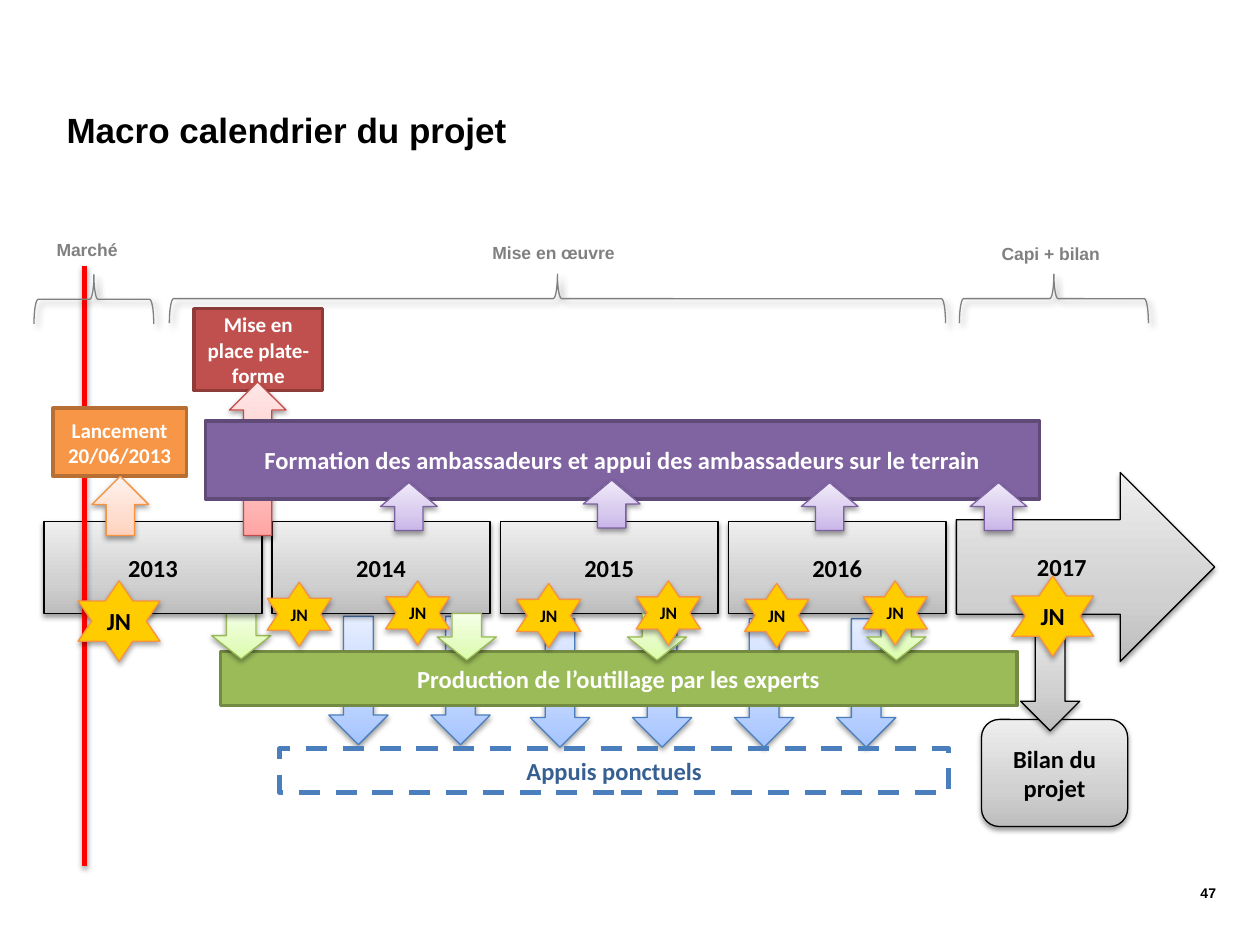
from copy import deepcopy

from lxml.etree import SubElement
from pptx import Presentation
from pptx.dml.color import RGBColor
from pptx.enum.dml import MSO_LINE
from pptx.enum.shapes import MSO_CONNECTOR, MSO_SHAPE as SHAPE
from pptx.enum.text import MSO_ANCHOR, MSO_AUTO_SIZE, PP_ALIGN as ALIGN
from pptx.oxml.ns import qn
from pptx.util import Inches, Pt

COLORS = {
    "black": "000000", "white": "FFFFFF", "gray": "808080", "marker": "FF0000",
    "green": "9BBB59", "green_edge": "738A42",
    "red": "C0504D", "red_edge": "8E3B39",
    "orange": "F79646", "orange_edge": "B76F34",
    "purple": "8064A2", "purple_edge": "5F4A78",
    "blue_edge": "4B7EBC", "blue_text": "376092",
    "star": "FFCC00", "star_edge": "F69240",
}
# Gradient colours from bottom to top, then the outline
GRADIENTS = {
    "gray": ("BDBDBD", "D1D1D1", "EEEEEE", "000000"),
    "blue": ("A4C4FF", "BFD4FF", "E6EEFF", "4B7EBC"),
    "green": ("DAFDA7", "E4FCC2", "F5FFE7", "98B955"),
    "red": ("FFA6A5", "FFC0BF", "FFE7E7", "BF4C48"),
    "orange": ("FFD2BD", "FFDED0", "FFF2ED", "F69240"),
    "purple": ("C9B5E8", "D8CBEE", "F0EAF9", "7D60A0"),
}
STOPS = (0, 0.35, 1)
# Opacity %, blur pt, distance pt, direction in degrees
SOFT, DEEP, BRACE = (38, 3.1, 1.6, 90), (35, 3.1, 1.8, 90), (40, 4, 3, 45)


def rgb(name):
    return RGBColor.from_string(COLORS.get(name, name))


def add_shadow(effects, opacity, blur, dist, angle):
    shadow = SubElement(effects, qn("a:outerShdw"), blurRad=str(Pt(blur)),
                        dist=str(Pt(dist)), dir=str(angle * 60000),
                        algn="ctr", rotWithShape="0")
    color = SubElement(shadow, qn("a:srgbClr"), val=COLORS["black"])
    SubElement(color, qn("a:alpha"), val=str(opacity * 1000))


class Timeline:
    def __init__(self, slide):
        self.slide = slide

    def put_text(self, sp, text, size, color, font="Calibri",
                 align=ALIGN.CENTER):
        tf = sp.text_frame
        tf.text = text
        tf.word_wrap = True
        tf.vertical_anchor = MSO_ANCHOR.MIDDLE
        for p in tf.paragraphs:
            p.alignment = align
            for r in p.runs:
                r.font.name, r.font.size, r.font.bold = font, Pt(size), True
                r.font.color.rgb = rgb(color)
        return tf

    def shape(self, kind, box, edge, width=0.75, fill=None, shadow=None):
        sp = self.slide.shapes.add_shape(kind, *map(Inches, box))
        if fill:
            sp.fill.solid()
            sp.fill.fore_color.rgb = rgb(fill)
        else:
            sp.fill.background()
        sp.line.color.rgb = rgb(edge)
        sp.line.width = Pt(width)
        sp.shadow.inherit = False
        if shadow:
            add_shadow(sp._element.spPr.find(qn("a:effectLst")), *shadow)
        return sp

    def block(self, kind, box, theme, text=None):
        """Shaded shape with a vertical three-stop gradient."""
        *tones, edge = GRADIENTS[theme]
        sp = self.shape(kind, box, edge, shadow=SOFT)
        sp.fill.gradient()
        sp.fill.gradient_angle = 90
        first = sp._element.spPr.find(".//" + qn("a:gs"))
        first.addnext(deepcopy(first))
        for stop, position, tone in zip(sp.fill.gradient_stops, STOPS, tones):
            stop.position = position
            stop.color.rgb = rgb(tone)
        if text:
            self.put_text(sp, text, 14, "black")

    def bar(self, box, theme, text, size=14):
        sp = self.shape(SHAPE.RECTANGLE, box, theme + "_edge", 2, theme)
        self.put_text(sp, text, size, "white")

    def dashed_bar(self, box, text):
        sp = self.shape(SHAPE.RECTANGLE, box, "blue_edge", 3)
        sp.line.dash_style = MSO_LINE.DASH
        self.put_text(sp, text, 14, "blue_text")

    def star(self, x, y, w, h, size):
        sp = self.shape(SHAPE.STAR_6_POINT, (x, y, w, h), "star_edge",
                        fill="star", shadow=DEEP)
        tf = self.put_text(sp, "JN", size, "black")
        tf.word_wrap = False
        tf.margin_left = tf.margin_right = tf.margin_top = tf.margin_bottom = 0

    def brace(self, x, y, w, h):
        """Upward brace; the box is the one before the quarter turn."""
        sp = self.shape(SHAPE.LEFT_BRACE, (x, y, w, h), "gray", shadow=BRACE)
        sp.rotation = 90
        sp._element.spPr.find(qn("a:xfrm")).set("flipV", "1")

    def label(self, box, text, size, color, align=ALIGN.LEFT):
        sp = self.slide.shapes.add_textbox(*map(Inches, box))
        return self.put_text(sp, text, size, color, "Arial", align)

    def phase(self, box, text):
        tf = self.label(box, text, 10, "gray")
        tf.word_wrap = False
        tf.auto_size = MSO_AUTO_SIZE.SHAPE_TO_FIT_TEXT
        tf.vertical_anchor = MSO_ANCHOR.TOP

    def marker(self, x, top, bottom):
        line = self.slide.shapes.add_connector(
            MSO_CONNECTOR.STRAIGHT, *map(Inches, (x, top, x, bottom)))
        line.line.color.rgb = rgb("marker")
        line.line.width = Pt(3)
        add_shadow(SubElement(line._element.spPr, qn("a:effectLst")), *DEEP)


def main():
    prs = Presentation()
    prs.slide_width, prs.slide_height = Inches(10), Inches(7.5)
    t = Timeline(prs.slides.add_slide(prs.slide_layouts[6]))

    # Expert output, behind the years
    for x, y in ((2.61, 4.89), (3.42, 4.89), (4.21, 4.91),
                 (5.02, 4.91), (5.83, 4.91), (6.64, 4.91)):
        t.block(SHAPE.DOWN_ARROW, (x, y, 0.47, 1.02), "blue")
    t.bar((1.75, 5.17, 6.32, 0.43), "green",
          "Production de l’outillage par les experts")
    t.block(SHAPE.DOWN_ARROW, (1.68, 4.86, 0.47, 0.37), "green")

    # Years
    t.block(SHAPE.RIGHT_ARROW, (7.59, 3.75, 2.05, 1.5), "gray", "2017")
    for i in range(4):
        t.block(SHAPE.RECTANGLE, (0.35 + 1.81 * i, 4.14, 1.73, 0.73), "gray",
                str(2013 + i))

    t.label((8.58, 6.89, 1.17, 0.4), "47", 8, "black", ALIGN.RIGHT)
    t.marker(0.67, 2.11, 6.87)
    t.bar((1.54, 2.45, 1.02, 0.65), "red", "Mise en place plate-forme", 12)
    for x in (3.47, 4.98, 6.88):
        t.block(SHAPE.DOWN_ARROW, (x, 4.87, 0.47, 0.37), "green")
    t.block(SHAPE.ROUNDED_RECTANGLE, (7.79, 5.71, 1.16, 0.85), "gray",
            "Bilan du projet")
    t.block(SHAPE.DOWN_ARROW, (8.1, 4.88, 0.47, 0.92), "gray")

    # Phases
    for x, y, h in ((0.55, 1.9, 0.95), (4.23, -0.71, 6.16), (8.17, 1.62, 1.5)):
        t.brace(x, y, 0.39, h)
    t.phase((0.35, 1.85, 0.69, 0.27), "Marché")
    t.phase((3.81, 1.87, 1.18, 0.27), "Mise en œuvre")
    t.phase((7.85, 1.88, 0.99, 0.27), "Capi + bilan")
    title = t.label((0.43, 0.78, 9.43, 0.49), "Macro calendrier du projet",
                    20, "black")
    title.word_wrap = False

    # JN milestones
    t.star(0.62, 4.61, 0.65, 0.64, 14)
    for x, y in ((2.12, 4.62), (3.06, 4.61), (4.1, 4.63),
                 (5.05, 4.61), (5.91, 4.63), (6.85, 4.61)):
        t.star(x, y, 0.51, 0.51, 10)
    t.star(8.03, 4.57, 0.65, 0.64, 14)

    # Launch, support and training
    t.block(SHAPE.UP_ARROW, (1.82, 3.03, 0.45, 1.22), "red")
    t.bar((0.42, 3.24, 1.06, 0.54), "orange", "Lancement\n20/06/2013", 12)
    t.dashed_bar((2.22, 5.94, 5.31, 0.35), "Appuis ponctuels")
    t.block(SHAPE.UP_ARROW, (0.73, 3.78, 0.45, 0.47), "orange")
    t.bar((1.63, 3.34, 6.62, 0.62), "purple",
          "Formation des ambassadeurs et appui des ambassadeurs sur le terrain")
    for x, y in ((7.7, 3.83), (3.02, 3.83), (4.63, 3.81), (6.36, 3.83)):
        t.block(SHAPE.UP_ARROW, (x, y, 0.45, 0.38), "purple")

    prs.save("out.pptx")


if __name__ == "__main__":
    main()
